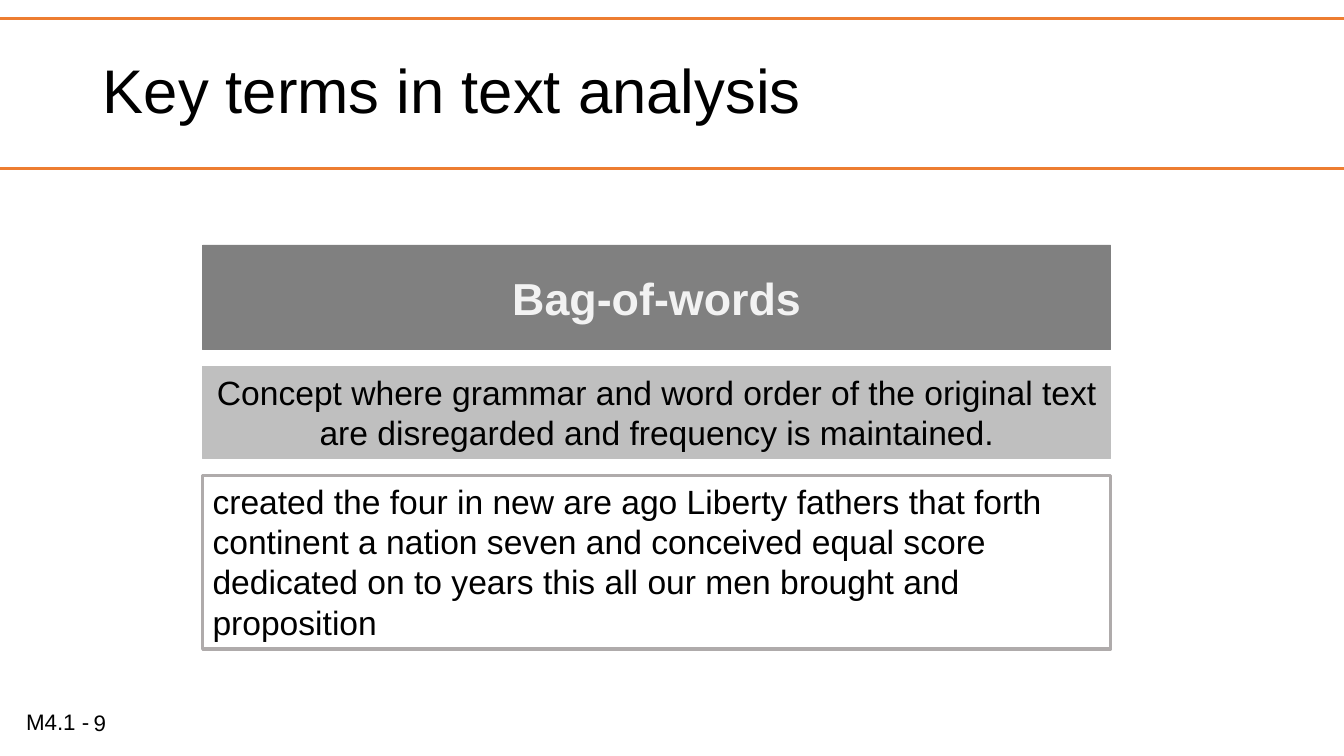
from lxml import etree
from pptx import Presentation
from pptx.dml.color import RGBColor
from pptx.enum import shapes, text
from pptx.oxml import ns
from pptx.util import Pt

ORANGE = RGBColor(0xED, 0x7D, 0x31)
BLACK = RGBColor(0x00, 0x00, 0x00)
OFF_WHITE = RGBColor(0xF2, 0xF2, 0xF2)
DARK_GREY = RGBColor(0x80, 0x80, 0x80)
LIGHT_GREY = RGBColor(0xBF, 0xBF, 0xBF)
BORDER_GREY = RGBColor(0xAF, 0xAB, 0xAB)

PAGE_WIDTH, PAGE_HEIGHT = 960, 540
PANEL_LEFT, PANEL_WIDTH = 144.7, 648.7


def write(frame, words, size=24, color=BLACK, bold=False, font="Arial",
          align=text.PP_ALIGN.LEFT, anchor=text.MSO_ANCHOR.TOP,
          spacing=1.0, wrap=True):
    frame.word_wrap = wrap
    frame.auto_size = text.MSO_AUTO_SIZE.NONE
    frame.vertical_anchor = anchor
    paragraph = frame.paragraphs[0]
    paragraph.alignment = align
    paragraph.line_spacing = spacing
    run = paragraph.add_run()
    run.text = words
    run.font.name = font
    run.font.size = Pt(size)
    run.font.bold = bold
    run.font.color.rgb = color


class TermSlide:
    rule_width = 2.25
    rule_color = ORANGE

    def __init__(self, deck):
        self.slide = deck.slides.add_slide(deck.slide_layouts[5])

    def rule(self, top):
        line = self.slide.shapes.add_connector(
            shapes.MSO_CONNECTOR.STRAIGHT, Pt(0), Pt(top), Pt(PAGE_WIDTH), Pt(top))
        line.line.color.rgb = self.rule_color
        line.line.width = Pt(self.rule_width)
        etree.SubElement(line._element.spPr, ns.qn("a:effectLst"))

    def title(self, words, left, top, width, height):
        heading = self.slide.shapes.title
        heading.left, heading.top = Pt(left), Pt(top)
        heading.width, heading.height = Pt(width), Pt(height)
        write(heading.text_frame, words, size=44, spacing=0.9,
              anchor=text.MSO_ANCHOR.MIDDLE)

    def label(self, words, left, top, width, height, **style):
        box = self.slide.shapes.add_textbox(Pt(left), Pt(top), Pt(width), Pt(height))
        write(box.text_frame, words, size=16, **style)

    def panel(self, words, top, height, border, border_width, fill=None, **style):
        box = self.slide.shapes.add_shape(
            shapes.MSO_SHAPE.RECTANGLE,
            Pt(PANEL_LEFT), Pt(top), Pt(PANEL_WIDTH), Pt(height))
        box.shadow.inherit = False
        if fill is None:
            box.fill.background()
        else:
            box.fill.solid()
            box.fill.fore_color.rgb = fill
        box.line.color.rgb = border
        box.line.width = Pt(border_width)
        write(box.text_frame, words, **style)


def main():
    deck = Presentation()
    deck.slide_width, deck.slide_height = Pt(PAGE_WIDTH), Pt(PAGE_HEIGHT)
    page = TermSlide(deck)

    for top in (12.96, 120.24):
        page.rule(top)
    page.title("Key terms in text analysis", 66.2, 14.4, 828, 104.4)

    page.panel("Bag-of-words", 175, 74.9, DARK_GREY, 0.5, fill=DARK_GREY,
               size=32, color=OFF_WHITE, bold=True,
               align=text.PP_ALIGN.CENTER, anchor=text.MSO_ANCHOR.MIDDLE)
    page.panel("Concept where grammar and word order of the original text "
               "are disregarded and frequency is maintained.",
               262.1, 65.5, LIGHT_GREY, 0.75, fill=LIGHT_GREY,
               align=text.PP_ALIGN.CENTER)
    page.panel("created the four in new are ago Liberty fathers that forth "
               "continent a nation seven and conceived equal score dedicated "
               "on to years this all our men brought and proposition",
               339.8, 123.8, BORDER_GREY, 2.25)

    page.label("M4.1 -", 11.5, 502.6, 80.6, 26.6)
    page.label("9", 59.8, 501.8, 216, 28.8, anchor=text.MSO_ANCHOR.MIDDLE)

    deck.save("out.pptx")


if __name__ == "__main__":
    main()
